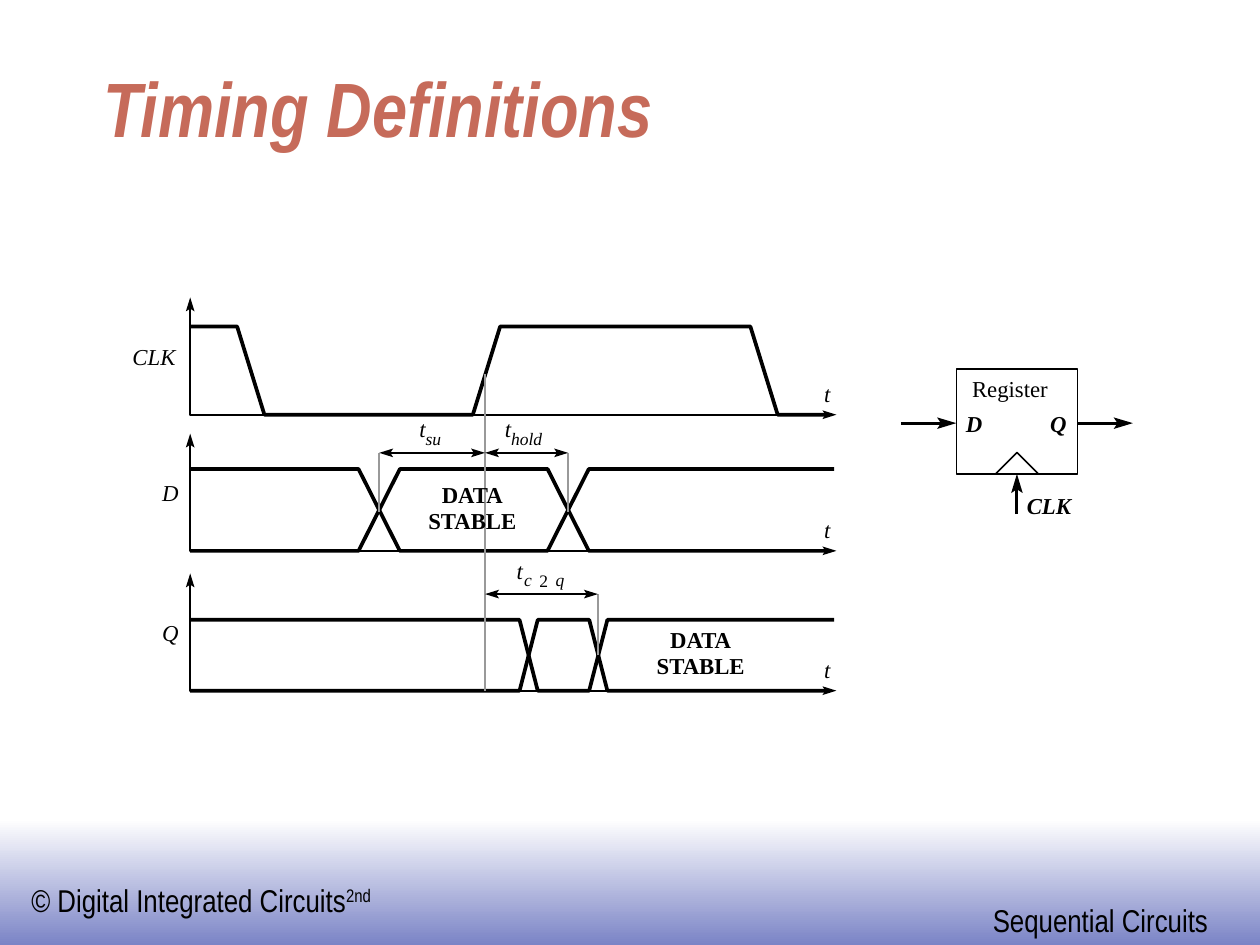
from math import hypot
from pptx import Presentation
from pptx.dml.color import RGBColor
from pptx.enum.shapes import MSO_CONNECTOR, MSO_SHAPE
from pptx.enum.text import MSO_ANCHOR, MSO_AUTO_SIZE, PP_ALIGN
from pptx.oxml.ns import qn
from pptx.util import Pt
from lxml.etree import SubElement

SERIF, SANS = "Times New Roman", "Arial Narrow"
BLACK, GRAY = "000000", "999999"
THIN, AXIS, ARROW, THICK = 0.88, 1.25, 1.75, 2.13
SMALL_HEAD, LARGE_HEAD = (8, 5), (11, 6.6)
LEFT, CLOCK_EDGE = 108.7, 277.2


def color(value):
    return RGBColor.from_string(value)


def add_span(para, words, size, font=SERIF, tint=BLACK, bold=False, italic=False):
    span = para.add_run()
    span.text = words
    span.font.name, span.font.size = font, Pt(size)
    span.font.bold, span.font.italic = bold, italic
    span.font.color.rgb = color(tint)
    return span


def add_label(page, left, top, width, lines, size=13, inset=(0, 0), **style):
    height = size * 1.2 * len(lines) + 2 * inset[1]
    box = page.shapes.add_textbox(Pt(left), Pt(top), Pt(width), Pt(height))
    frame = box.text_frame
    frame.word_wrap = False
    frame.auto_size = MSO_AUTO_SIZE.SHAPE_TO_FIT_TEXT
    frame.margin_left = frame.margin_right = Pt(inset[0])
    frame.margin_top = frame.margin_bottom = Pt(inset[1])
    for index, words in enumerate(lines):
        para = frame.add_paragraph() if index else frame.paragraphs[0]
        if len(lines) > 1:
            para.alignment = PP_ALIGN.CENTER
            para.line_spacing = Pt(14.6)
        add_span(para, words, size, **style)
    return box


def style_line(shape, weight, tint=BLACK):
    shape.line.color.rgb = color(tint)
    shape.line.width = Pt(weight)


def add_line(page, start, end, weight, tint=BLACK):
    line = page.shapes.add_connector(
        MSO_CONNECTOR.STRAIGHT, *(Pt(value) for value in (*start, *end)))
    style_line(line, weight, tint)
    SubElement(line._element.spPr, qn("a:effectLst"))


def add_outline(page, points, close=False):
    corners = [(Pt(x), Pt(y)) for x, y in points]
    builder = page.shapes.build_freeform(*corners[0])
    builder.add_line_segments(corners[1:], close=close)
    shape = builder.convert_to_shape()
    shape.shadow.inherit = False
    return shape


def add_polyline(page, points, weight):
    shape = add_outline(page, points)
    shape.fill.background()
    style_line(shape, weight)


def add_head(page, tail, tip, size=SMALL_HEAD):
    length, width = size
    reach = hypot(tip[0] - tail[0], tip[1] - tail[1])
    across, down = (tip[0] - tail[0]) / reach, (tip[1] - tail[1]) / reach

    def behind(distance, aside=0):
        return (tip[0] - across * distance - down * aside,
                tip[1] - down * distance + across * aside)

    head = add_outline(page, [tip, behind(length, width / 2), behind(length * 0.8),
                              behind(length, -width / 2)], close=True)
    head.fill.solid()
    head.fill.fore_color.rgb = color(BLACK)
    head.line.fill.background()
    return behind(length * 0.6)


def add_title(page, left, top, width, height):
    title = page.shapes.title
    title.left, title.top = Pt(left), Pt(top)
    title.width, title.height = Pt(width), Pt(height)
    frame = title.text_frame
    frame.auto_size = MSO_AUTO_SIZE.NONE
    frame.vertical_anchor = MSO_ANCHOR.BOTTOM
    para = frame.paragraphs[0]
    para.alignment = PP_ALIGN.LEFT
    add_span(para, "Timing Definitions", 44, SANS, "C66B5A", True, True)


def add_footer(page, left, top, width, height):
    band = page.shapes.add_shape(
        MSO_SHAPE.RECTANGLE, Pt(left), Pt(top), Pt(width), Pt(height))
    band.shadow.inherit = False
    band.line.fill.background()
    band.fill.gradient()
    band.fill.gradient_angle = 270
    for stop, position, tint in zip(band.fill.gradient_stops, (0, 1), ("FFFFFF", "7B84C6")):
        stop.position = position
        stop.color.rgb = color(tint)
    style = dict(size=18, inset=(7.2, 3.6), font=SANS)
    book = add_label(page, left + 10.8, top + 31.7, 220,
                     ["© Digital Integrated Circuits"], **style)
    edition = add_span(book.text_frame.paragraphs[0], "2nd", 18, SANS)
    edition._r.get_or_add_rPr().set("baseline", "30000")
    add_label(page, left + 560.2, top + 43.2, 140, ["Sequential Circuits"], **style)


def trace_levels(edges, half, level, end):
    points = [(0, level)]
    for edge in edges:
        points += [(edge - half, level), (edge + half, 1 - level)]
        level = 1 - level
    return points + [(end, level)]


def add_signal(page, left, top, width, height, name, name_width, swing, traces):
    base = top + height
    corner = (left, base)
    ends = [add_head(page, corner, tip) for tip in ((left, top), (left + width, base))]
    add_polyline(page, [ends[0], corner, ends[1]], AXIS)
    add_label(page, left + width - 7, top + 47, 5, ["t"], italic=True)
    add_label(page, left - 6.5 - name_width, top + 25.7, name_width, [name], italic=True)
    for trace in traces:
        add_polyline(page, [(left + x, base - level * swing)
                            for x, level in trace_levels(*trace)], THICK)


def add_interval(page, left, top, width, guide, depth, symbol_left, subscripts):
    add_line(page, (guide, top + depth), (guide, top), THIN, GRAY)
    start, end = (left, top), (left + width, top)
    add_line(page, add_head(page, end, start), add_head(page, start, end), THIN)
    symbol_left += left
    symbol_top = top - 21.5
    add_label(page, symbol_left, symbol_top, 5, ["t"], italic=True)
    for x, y, subscript_width, words in subscripts:
        add_label(page, symbol_left + x, symbol_top + y, subscript_width, [words],
                  size=10, italic=words.isalpha())


def add_register(page, left, top, width, height):
    box = page.shapes.add_shape(
        MSO_SHAPE.RECTANGLE, Pt(left), Pt(top), Pt(width), Pt(height))
    box.fill.background()
    box.shadow.inherit = False
    style_line(box, THIN)
    right, bottom, middle, port = left + width, top + height, left + width / 2, top + 30.8
    add_polyline(page, [(middle + 12.2, bottom), (middle, bottom - 12.2),
                        (middle - 12.2, bottom)], THIN)
    for start, end in (((left - 31.7, port), (left, port)),
                       ((right, port), (right + 31.7, port)),
                       ((middle, bottom + 23), (middle, bottom))):
        add_line(page, start, add_head(page, start, end, LARGE_HEAD), ARROW)
    add_label(page, left + 9, top + 3.2, 50, ["Register"])
    for x, y, label_width, words in ((5.5, 23, 10, "D"), (53.6, 23, 10, "Q"),
                                     (40.3, 69.8, 26.5, "CLK")):
        add_label(page, left + x, top + y, label_width, [words], bold=True, italic=True)


def add_timing_diagram(page, left, top, width):
    height = 67
    add_signal(page, left, top, width, height, "CLK", 26.5, 50.4,
               [((34.6, 169.3, 327.9), 7.8, 1, 364.5)])
    for name, offset, swing, edges, half in (
            ("D", 77.8, 46.8, (108, 216), 11.8),
            ("Q", 157.7, 40.5, (193.4, 233.2), 5.2)):
        add_signal(page, left, top + offset, width, height, name, 9.5, swing,
                   [(edges, half, 1, 368), (edges, half, 0, 363.5)])
    add_line(page, (CLOCK_EDGE, top + 224.7), (CLOCK_EDGE, top + 44), THIN, GRAY)
    setup, hold, output = left + 108, left + 216, left + 233
    add_interval(page, setup, top + 88.8, CLOCK_EDGE - setup, setup, 33.6, 23,
                 [(3.6, 7.2, 11, "su")])
    add_interval(page, CLOCK_EDGE, top + 88.8, hold - CLOCK_EDGE, hold, 33.6, 11.3,
                 [(3.6, 7.2, 21, "hold")])
    add_interval(page, CLOCK_EDGE, top + 169.5, output - CLOCK_EDGE, output, 35, 18,
                 [(4.3, 7.2, 5, "c"), (13, 7.9, 5.5, "2"), (22.3, 7.2, 5.5, "q")])
    for x, y in ((135.2, 105.8), (265.7, 188.8)):
        add_label(page, left + x, top + y, 52, ["DATA", "STABLE"], bold=True)


def main():
    deck = Presentation()
    deck.slide_width, deck.slide_height = Pt(720), Pt(540)
    page = deck.slides.add_slide(deck.slide_layouts[5])
    add_footer(page, 0, 468, 720, 72)
    add_title(page, 52, 34.5, 612, 56.5)
    add_timing_diagram(page, LEFT, 170, 369.3)
    add_register(page, 546.5, 211, 69.2, 59.8)
    deck.save("out.pptx")


if __name__ == "__main__":
    main()
